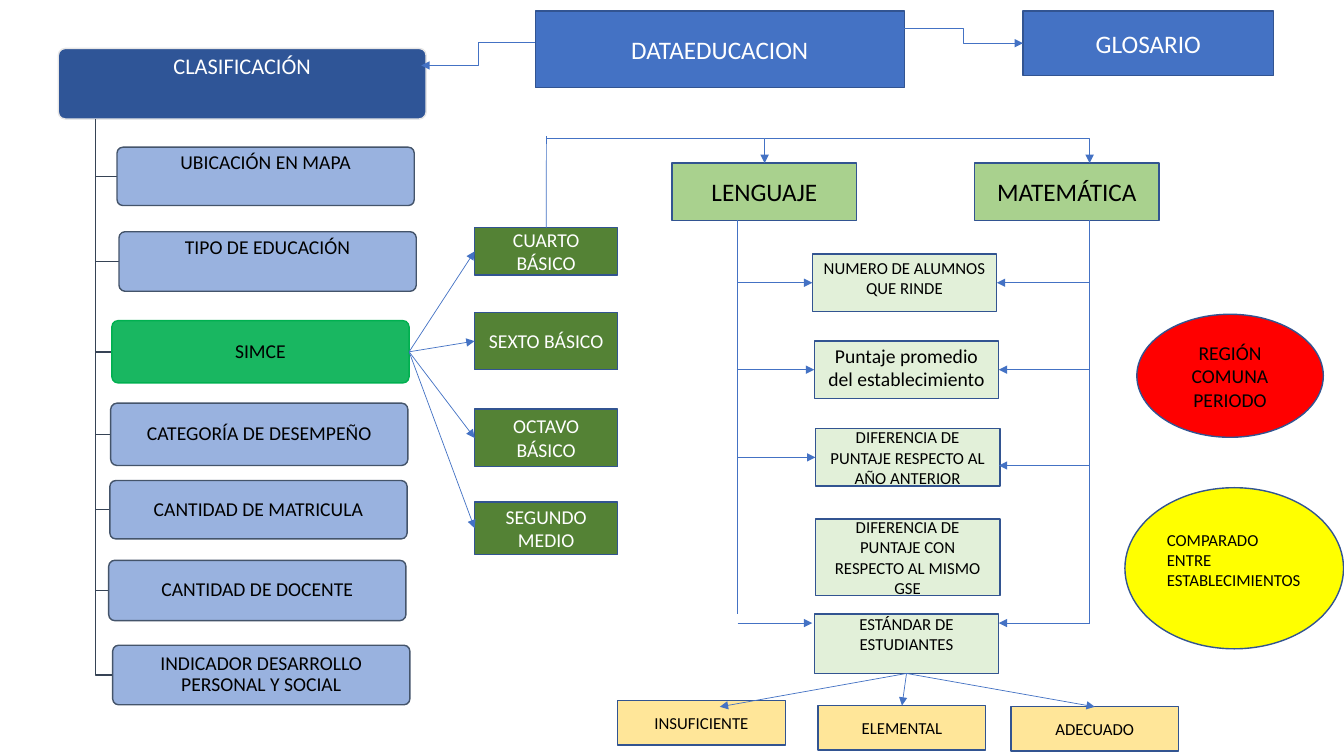
from lxml.etree import SubElement
from pptx import Presentation
from pptx.dml.color import RGBColor
from pptx.enum.shapes import MSO_CONNECTOR, MSO_SHAPE
from pptx.enum.text import MSO_ANCHOR, PP_ALIGN
from pptx.oxml.ns import qn
from pptx.util import Cm, Pt

COLORS = {
    "navy": "2F5597", "pale": "E7E6E6", "periwinkle": "8FAADC", "slate": "44546A",
    "trunk": "364355", "emerald": "00B050", "blue": "4472C4", "edge": "325491",
    "forest": "548235", "leaf": "A9D18E", "mint": "E2F0D9", "sand": "FFE699",
    "red": "FF0000", "yellow": "FFFF00", "white": "FFFFFF", "black": "000000",
}

# Format of each group of boxes; "lift" is the space kept free below the text
BASE = {"form": MSO_SHAPE.RECTANGLE, "line": "edge", "font": "black", "size": 12,
        "inset": 0.25, "spacing": 1.0, "align": PP_ALIGN.CENTER, "alpha": None}
TREE = BASE | {"form": MSO_SHAPE.ROUNDED_RECTANGLE, "size": 14, "inset": 0.13, "spacing": 0.9}
BRANCH = TREE | {"fill": "periwinkle", "line": "slate", "alpha": 90}
TITLE = BASE | {"fill": "blue", "font": "white", "size": 18}
GRADE = BASE | {"fill": "forest", "font": "white", "size": 14}
SUBJECT = BASE | {"fill": "leaf", "size": 18}
MEASURE = BASE | {"fill": "mint"}
LEVEL = BASE | {"fill": "sand"}
OVAL = BASE | {"form": MSO_SHAPE.OVAL}

# Content: text, left, top, width, height (cm), lift (cm), format
CLASSIFICATION = ("CLASIFICACIÓN", 1.47, 1.22, 9.27, 1.78, 0.81,
                  TREE | {"fill": "navy", "line": "pale", "font": "white", "size": 16})
BRANCH_WIDTH = 7.49
BRANCHES = [  # text, left, top, height, lift, format
    ("UBICACIÓN EN MAPA", 2.95, 3.71, 1.47, 0.68, BRANCH),
    ("TIPO DE EDUCACIÓN", 3.0, 5.84, 1.5, 0.68, BRANCH),
    ("SIMCE", 2.82, 8.08, 1.57, 0, BRANCH | {"fill": "emerald", "line": "emerald"}),
    ("CATEGORÍA DE DESEMPEÑO", 2.79, 10.16, 1.57, 0, BRANCH),
    ("CANTIDAD DE MATRICULA", 2.77, 12.11, 1.47, 0, BRANCH),
    ("CANTIDAD DE DOCENTE", 2.74, 14.12, 1.52, 0, BRANCH),
    ("INDICADOR DESARROLLO PERSONAL Y SOCIAL", 2.84, 16.26, 1.5, 0, BRANCH),
]
TITLES = [
    ("DATAEDUCACION", 13.49, 0.28, 9.3, 1.93, 0, TITLE),
    ("GLOSARIO", 25.78, 0.28, 6.32, 1.63, 0, TITLE),
]
GRADES = [
    ("CUARTO BÁSICO", 11.96, 5.74, 3.61, 1.19, 0, GRADE),
    ("SEXTO BÁSICO", 11.96, 7.87, 3.61, 1.45, 0, GRADE),
    ("OCTAVO BÁSICO", 11.96, 10.31, 3.61, 1.45, 0, GRADE),
    ("SEGUNDO MEDIO", 11.96, 12.65, 3.61, 1.32, 0, GRADE),
]
SUBJECTS = [
    ("LENGUAJE", 16.94, 4.11, 4.65, 1.45, 0, SUBJECT),
    ("MATEMÁTICA", 24.56, 4.11, 4.65, 1.45, 0, SUBJECT),
]
MEASURES = [
    ("NUMERO DE ALUMNOS QUE RINDE", 20.47, 6.4, 4.65, 1.45, 0.25, MEASURE),
    ("Puntaje promedio del establecimiento", 20.52, 8.59, 4.65, 1.45, 0.13,
     MEASURE | {"size": 14}),
    ("DIFERENCIA DE PUNTAJE RESPECTO AL AÑO ANTERIOR", 20.55, 10.8, 4.65, 1.45, 0, MEASURE),
    ("DIFERENCIA DE PUNTAJE CON RESPECTO AL MISMO GSE", 20.55, 13.08, 4.65, 1.93, 0, MEASURE),
    ("ESTÁNDAR DE ESTUDIANTES", 20.52, 15.47, 4.65, 1.5, 0.5, MEASURE),
]
LEVELS = [
    ("INSUFICIENTE", 15.57, 17.65, 4.22, 1.12, 0, LEVEL),
    ("ELEMENTAL", 20.62, 17.78, 4.22, 1.12, 0, LEVEL),
    ("ADECUADO", 25.48, 17.81, 4.22, 1.12, 0, LEVEL),
]
OVALS = [
    ("REGIÓN\nCOMUNA\nPERIODO", 28.65, 7.92, 4.7, 3.1, 0,
     OVAL | {"fill": "red", "size": 14}),
    ("COMPARADO ENTRE ESTABLECIMIENTOS", 28.35, 12.29, 5.51, 4.06, 0.43,
     OVAL | {"fill": "yellow", "align": PP_ALIGN.LEFT}),
]

TRUNK_X = 2.41
LANGUAGE_X, MATHS_X = 18.59, 27.46   # vertical lines below the two subjects
RAIL_Y, STANDARD_Y = 3.48, 15.7
TOP, LEFT, BOTTOM, RIGHT = range(4)

ELBOWS = [  # from, to, position of the bend
    ((13.49, 1.07), (10.62, 1.65), 0.5),
    ((22.79, 0.71), (25.78, 1.09), 0.5),
    ((13.77, RAIL_Y), (19.27, 4.11), 1),
    ((19.27, RAIL_Y), (27.46, 4.11), 1),
]

presentation = Presentation()
presentation.slide_width, presentation.slide_height = Cm(33.87), Cm(19.05)
slide = presentation.slides.add_slide(presentation.slide_layouts[6])
shapes = slide.shapes


def rgb(name):
    return RGBColor.from_string(COLORS[name])


def add_box(text, left, top, width, height, lift, style):
    box = shapes.add_shape(style["form"], Cm(left), Cm(top), Cm(width), Cm(height))
    if style["form"] == MSO_SHAPE.ROUNDED_RECTANGLE:
        box.adjustments[0] = 0.1
    box.shadow.inherit = False
    box.fill.solid()
    box.fill.fore_color.rgb = rgb(style["fill"])
    if style["alpha"]:
        color = box.element.spPr.find(qn("a:solidFill")).find(qn("a:srgbClr"))
        SubElement(color, qn("a:alpha"), val=str(style["alpha"] * 1000))
    box.line.color.rgb = rgb(style["line"])
    box.line.width = Pt(1)
    frame = box.text_frame
    frame.text = text
    frame_format = {"word_wrap": True, "vertical_anchor": MSO_ANCHOR.MIDDLE,
                    "margin_left": Cm(style["inset"]), "margin_right": Cm(style["inset"]),
                    "margin_top": 0, "margin_bottom": Cm(lift)}
    for name, value in frame_format.items():
        setattr(frame, name, value)
    for paragraph in frame.paragraphs:
        paragraph.alignment = style["align"]
        paragraph.line_spacing = style["spacing"]
        for name, value in {"name": "Calibri", "size": Pt(style["size"])}.items():
            setattr(paragraph.font, name, value)
        paragraph.font.color.rgb = rgb(style["font"])
    return box


def add_link(start, end, arrow=True, bend=None):
    """Each end is a point in cm or a (box, side) pair to join."""
    joins = [not isinstance(tip[0], (int, float)) for tip in (start, end)]
    points = [(0, 0) if joined else tip for tip, joined in zip((start, end), joins)]
    form = MSO_CONNECTOR.STRAIGHT if bend is None else MSO_CONNECTOR.ELBOW
    link = shapes.add_connector(form, *(Cm(value) for point in points for value in point))
    if joins[0]:
        link.begin_connect(*start)
    if joins[1]:
        link.end_connect(*end)
    link.line.color.rgb = rgb("blue")
    link.line.width = Pt(0.5)
    properties = link._element.spPr
    if bend is not None:
        guides = properties.find(qn("a:prstGeom")).find(qn("a:avLst"))
        SubElement(guides, qn("a:gd"), name="adj1", fmla=f"val {round(bend * 100000)}")
    if arrow:
        SubElement(properties.find(qn("a:ln")), qn("a:tailEnd"), type="triangle")
    SubElement(properties, qn("a:effectLst"))


# Classification tree
add_box(*CLASSIFICATION)
trunk_top = CLASSIFICATION[2] + CLASSIFICATION[4]
branches = []
for text, left, top, height, lift, style in BRANCHES:
    middle = top + height / 2
    outline = shapes.build_freeform(Cm(TRUNK_X), Cm(trunk_top))
    outline.add_line_segments([(Cm(TRUNK_X), Cm(middle)), (Cm(left), Cm(middle))], close=False)
    twig = outline.convert_to_shape()
    twig.shadow.inherit = False
    twig.fill.background()
    twig.line.color.rgb = rgb("trunk")
    twig.line.width = Pt(1)
    branches.append(add_box(text, left, top, BRANCH_WIDTH, height, lift, style))
simce = branches[2]

# Boxes
titles, grades, subjects, measures, levels, ovals = (
    [add_box(*entry) for entry in group]
    for group in (TITLES, GRADES, SUBJECTS, MEASURES, LEVELS, OVALS))

# Links of titles, grades and subjects
for start, end, bend in ELBOWS:
    add_link(start, end, bend=bend)
for grade in grades:
    add_link((simce, RIGHT), (grade, LEFT))
add_link((grades[0], TOP), (13.77, 3.43), arrow=False)

# Links from subjects to measures
add_link((LANGUAGE_X, 5.55), (LANGUAGE_X, 15.47), arrow=False)
add_link((MATHS_X, 5.55), (MATHS_X, STANDARD_Y), arrow=False)
for index, (_, _, top, _, height, _, _) in enumerate(MEASURES[:3]):
    middle = top + height / 2
    add_link((LANGUAGE_X, middle), (measures[index], LEFT))
    if index < 2:
        add_link((MATHS_X, middle), (measures[index], RIGHT))
add_link((MATHS_X, 11.73), (25.17, 11.73))
add_link((LANGUAGE_X, STANDARD_Y), (20.47, STANDARD_Y))
add_link((MATHS_X, STANDARD_Y), (25.17, STANDARD_Y))

# Links from the standard to its levels
for end in ((18.14, 17.81), (levels[1], TOP), (levels[2], TOP)):
    add_link((measures[-1], BOTTOM), end)

presentation.save("out.pptx")
